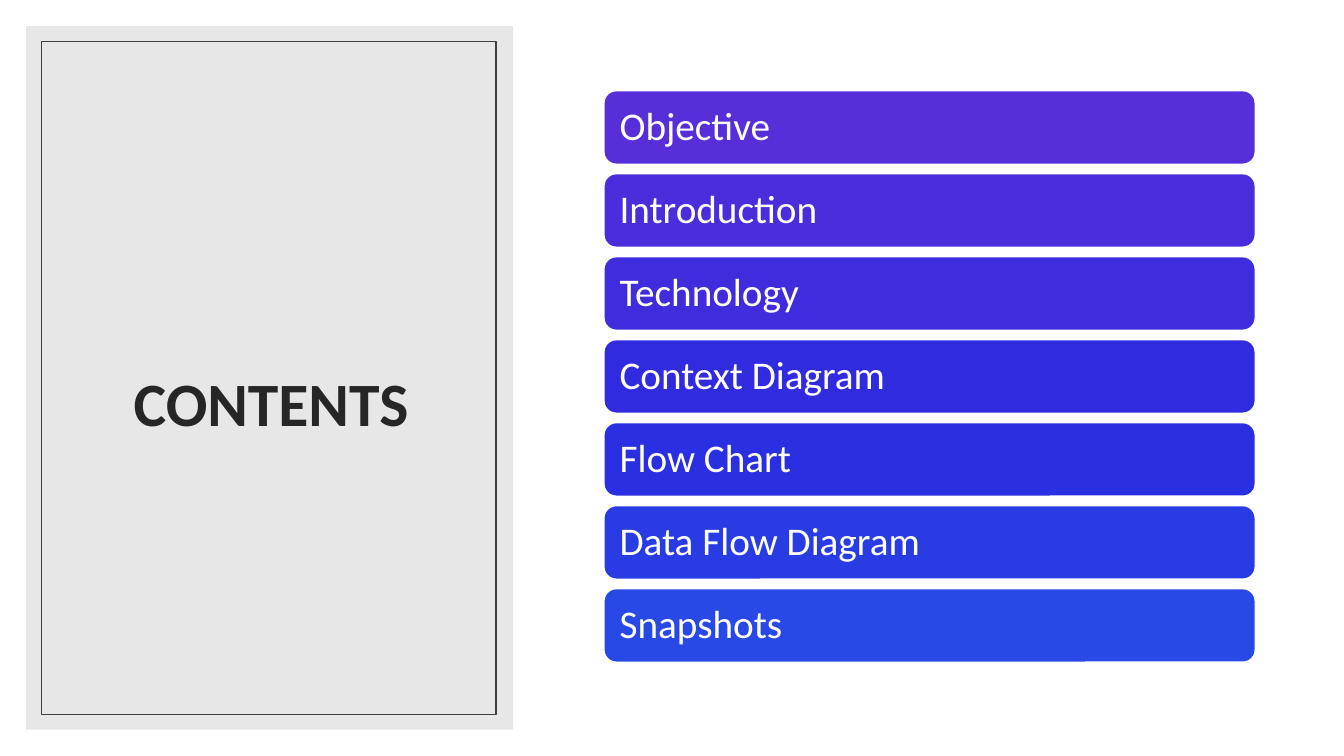
from lxml import etree
from pptx import Presentation
from pptx import util as u
from pptx.dml.color import RGBColor
from pptx.enum import shapes, text
from pptx.oxml import ns

FONT = "Calibri"
COLORS = {"panel": "D8D8D8", "frame": "3F3F3F", "title": "262626", "white": "FFFFFF"}
TOPICS = {
    "Objective": "572FD9",
    "Introduction": "4B2DDB",
    "Technology": "3F2CDD",
    "Context Diagram": "312BDF",
    "Flow Chart": "2A2FE1",
    "Data Flow Diagram": "293CE3",
    "Snapshots": "2849E6",
}


def add_box(s, kind, box, fill=None, line=None, width=1):
    sp = s.shapes.add_shape(kind, *map(u.Inches, box))
    sp.shadow.inherit = False
    if fill:
        sp.fill.solid()
        sp.fill.fore_color.rgb = RGBColor.from_string(fill)
    else:
        sp.fill.background()
    if line:
        sp.line.color.rgb = RGBColor.from_string(line)
        sp.line.width = u.Pt(width)
    else:
        sp.line.fill.background()
    return sp


def set_text(sp, words, size, color, align, bold=False):
    tf = sp.text_frame
    tf.word_wrap = True
    tf.vertical_anchor = text.MSO_ANCHOR.MIDDLE
    tf.text = words
    p = tf.paragraphs[0]
    p.alignment = align
    p.line_spacing = 0.9
    r = p.runs[0]
    r.font.name, r.font.size, r.font.bold = FONT, u.Pt(size), bold
    r.font.color.rgb = RGBColor.from_string(color)
    return tf


def title_panel(s, x, y, w, h):
    rect = shapes.MSO_SHAPE.RECTANGLE
    # Translucent panel
    panel = add_box(s, rect, (x, y, w, h), COLORS["panel"])
    color = panel.fill._xPr.find(".//" + ns.qn("a:srgbClr"))
    etree.SubElement(color, ns.qn("a:alpha"), val="60000")
    # Title, set slightly below the middle
    title = s.shapes.add_textbox(*map(u.Inches, (x + 0.37, y + 0.35, w - 0.71, h - 0.74)))
    tf = set_text(title, "CONTENTS", 44, COLORS["title"], text.PP_ALIGN.CENTER, bold=True)
    tf.margin_top = u.Inches(0.66)
    # Thin inner frame
    add_box(s, rect, (x + 0.15, y + 0.15, w - 0.32, h - 0.3), line=COLORS["frame"], width=0.75)


def topic_list(s, x, y, w, h):
    bar_h = 0.73
    step = (h - bar_h) / (len(TOPICS) - 1)
    for i, (topic, fill) in enumerate(TOPICS.items()):
        bar = add_box(s, shapes.MSO_SHAPE.ROUNDED_RECTANGLE,
                      (x, y + i * step, w, bar_h), fill, COLORS["white"])
        tf = set_text(bar, topic, 28, COLORS["white"], text.PP_ALIGN.LEFT)
        tf.margin_left = tf.margin_right = u.Inches(0.12)


def main():
    prs = Presentation()
    prs.slide_width, prs.slide_height = u.Inches(13.33), u.Inches(7.5)
    s = prs.slides.add_slide(prs.slide_layouts[6])
    s.background.fill.solid()
    s.background.fill.fore_color.rgb = RGBColor.from_string(COLORS["white"])
    title_panel(s, 0.26, 0.26, 4.83, 6.98)
    topic_list(s, 5.99, 0.9, 6.46, 5.67)
    prs.save("out.pptx")


if __name__ == "__main__":
    main()
